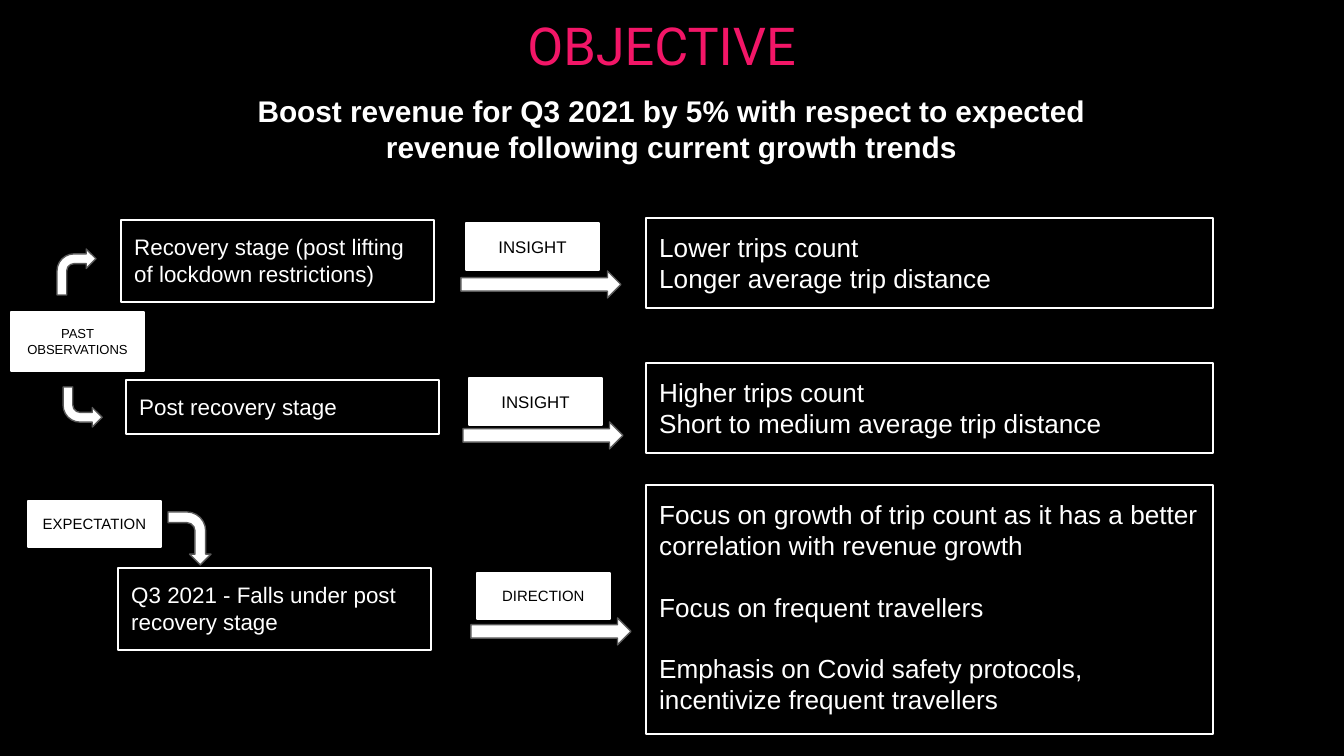
from pptx import Presentation
from pptx import util as u
from pptx.dml.color import RGBColor
from pptx.enum import shapes, text

EMU_PER_PX = 914400 / 134.4
WHITE, BLACK, PINK, GREY = "FFFFFF", "000000", "F21667", "595959"

TITLE = ("OBJECTIVE", (514, 0, 314, 99))
GOAL = ("Boost revenue for Q3 2021 by 5% with respect to expected "
        "revenue following current growth trends", (231, 79, 881, 208))

# left, top, height, paragraphs
STAGES = [
    (121, 220, 82, ["Recovery stage (post lifting of lockdown restrictions)"]),
    (126, 380, 54, ["Post recovery stage"]),
    (118, 568, 82, ["Q3 2021 - Falls under post recovery stage"]),
]
STAGE_WIDTH = 313

# top, height, gap between paragraphs in points, paragraphs
FINDINGS = [
    (218, 90, 0, ["Lower trips count", "Longer average trip distance"]),
    (363, 90, 0, ["Higher trips count", "Short to medium average trip distance"]),
    (485, 249, 16, [
        "Focus on growth of trip count as it has a better correlation with revenue growth",
        "Focus on frequent travellers",
        "Emphasis on Covid safety protocols, incentivize frequent travellers"]),
]
FINDING_LEFT, FINDING_WIDTH = 646, 567

# left, top, height, font size, label
LABELS = [
    (466, 223, 47, 9, "INSIGHT"),
    (469, 378, 47, 9, "INSIGHT"),
    (477, 573, 46, 8, "DIRECTION"),
    (28, 501, 46, 8, "EXPECTATION"),
    (11, 312, 59, 7, "PAST OBSERVATIONS"),
]
LABEL_WIDTH = 133

ARROWS = [(461, 271), (463, 422), (471, 618)]
ARROW_SIZE = (160, 27)

# box, rotation, mirrored
BENT_ARROWS = [
    ((57, 249, 39, 46), 0, False),
    ((63, 387, 39, 40), 180, True),
    ((163, 517, 53, 43), 90, False),
]


def color(value):
    return RGBColor.from_string(value)


def px(box):
    return [u.Emu(round(v * EMU_PER_PX)) for v in box]


def write(sp, paragraphs, size, ink, align=text.PP_ALIGN.LEFT,
          font="Arial", bold=False, gap=0):
    tf = sp.text_frame
    tf.word_wrap = True
    tf.vertical_anchor = text.MSO_ANCHOR.TOP
    tf.margin_left = tf.margin_right = tf.margin_top = tf.margin_bottom = u.Inches(0.1)
    for i, line in enumerate(paragraphs):
        p = tf.add_paragraph() if i else tf.paragraphs[0]
        p.alignment = align
        p.space_before = u.Pt(gap if i else 0)
        r = p.add_run()
        r.text = line
        r.font.size, r.font.name, r.font.bold = u.Pt(size), font, bold
        r.font.color.rgb = color(ink)


def add_shape(kind, box, line, fill=None):
    sp = slide.shapes.add_shape(kind, *px(box))
    sp.shadow.inherit = False
    if fill:
        sp.fill.solid()
        sp.fill.fore_color.rgb = color(fill)
    else:
        sp.fill.background()
    sp.line.color.rgb = color(line)
    sp.line.width = u.Pt(0.75)
    return sp


prs = Presentation()
prs.slide_width, prs.slide_height = px((1344, 756))
slide = prs.slides.add_slide(prs.slide_layouts[5])
slide.background.fill.solid()
slide.background.fill.fore_color.rgb = color(BLACK)

title = slide.shapes.title
title.left, title.top, title.width, title.height = px(TITLE[1])
write(title, [TITLE[0]], 28, PINK, font="Roboto")

goal = slide.shapes.add_textbox(*px(GOAL[1]))
write(goal, [GOAL[0]], 16, WHITE, text.PP_ALIGN.CENTER, bold=True)

RECT = shapes.MSO_SHAPE.RECTANGLE
for left, top, height, lines in STAGES:
    sp = add_shape(RECT, (left, top, STAGE_WIDTH, height), WHITE)
    write(sp, lines, 12, WHITE)

for top, height, gap, lines in FINDINGS:
    sp = add_shape(RECT, (FINDING_LEFT, top, FINDING_WIDTH, height), WHITE)
    write(sp, lines, 14, WHITE, gap=gap)

for corner in ARROWS:
    add_shape(shapes.MSO_SHAPE.RIGHT_ARROW, corner + ARROW_SIZE, GREY, WHITE)

for left, top, height, size, label in LABELS:
    sp = add_shape(RECT, (left, top, LABEL_WIDTH, height), WHITE, WHITE)
    write(sp, [label], size, BLACK, text.PP_ALIGN.CENTER)

for box, rotation, mirrored in BENT_ARROWS:
    sp = add_shape(shapes.MSO_SHAPE.BENT_ARROW, box, GREY, WHITE)
    sp.rotation = rotation
    if mirrored:
        sp._element.spPr.xfrm.set("flipH", "1")

prs.save("out.pptx")
